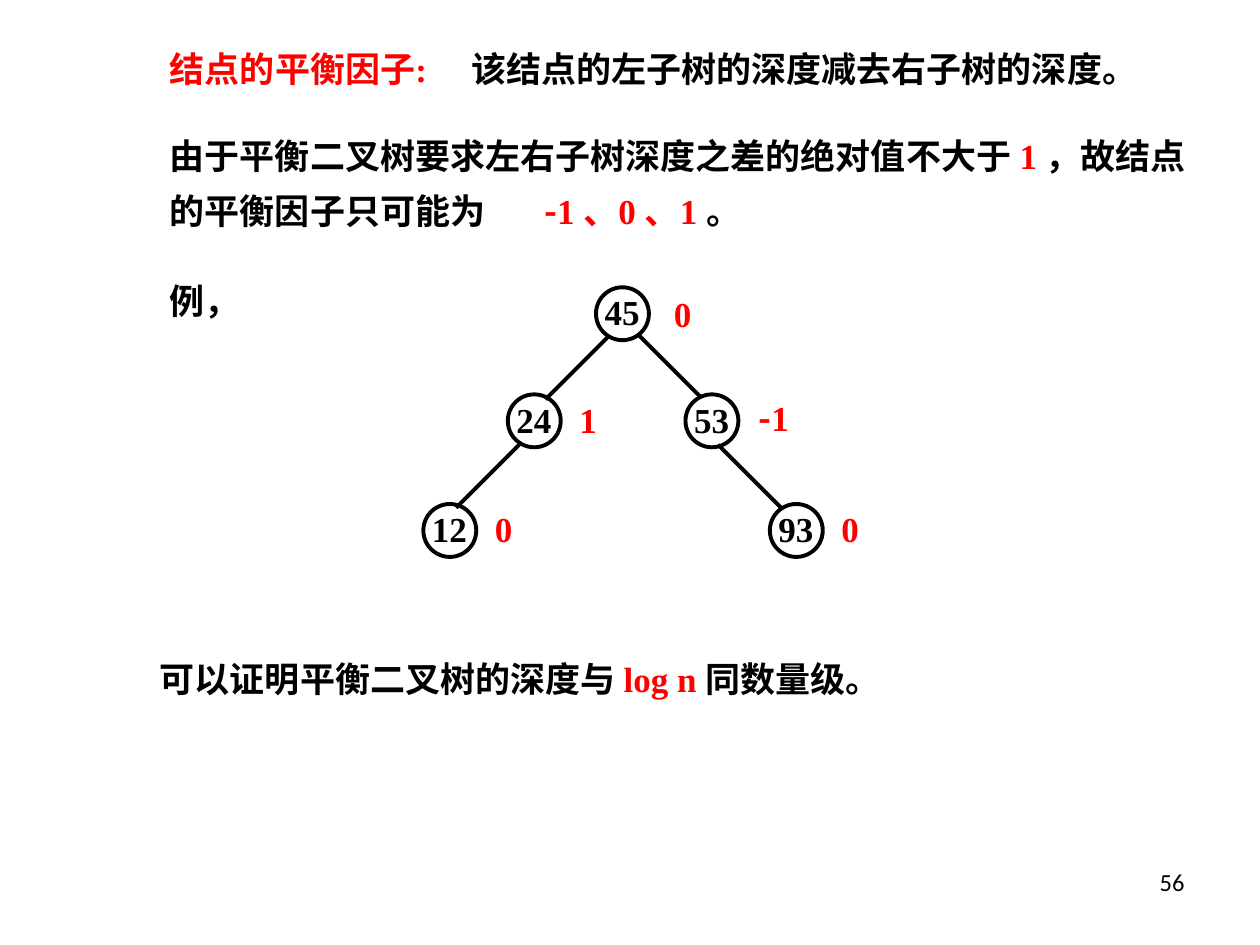
from lxml import etree
from pptx import Presentation
from pptx.dml.color import RGBColor
from pptx.enum import shapes, text
from pptx.oxml.ns import qn
from pptx.util import Inches, Pt

BLACK = RGBColor(0x00, 0x00, 0x00)
RED = RGBColor(0xFF, 0x00, 0x00)
SERIF = "Times New Roman"
SANS = "Noto Sans CJK SC"
D = 0.42

prs = Presentation()
prs.slide_width = Inches(10)
prs.slide_height = Inches(7.5)
s = prs.slides.add_slide(prs.slide_layouts[6])


def add_text(x, y, w, h, runs, tab=None, size=20, name=SERIF, bold=True):
    tf = s.shapes.add_textbox(Inches(x), Inches(y), Inches(w), Inches(h)).text_frame
    tf.word_wrap = True
    p = tf.paragraphs[0]
    if tab:
        tabs = etree.SubElement(p._p.get_or_add_pPr(), qn("a:tabLst"))
        etree.SubElement(tabs, qn("a:tab"), pos=str(Inches(tab)), algn="l")
    p.font.size = Pt(size)
    p.font.bold = bold
    p.font.name = name
    for words, color in runs:
        r = p.add_run()
        r.text = words
        r.font.color.rgb = color
        if words == "-":
            r.font.name = SANS
    return p


p = add_text(7.17, 6.83, 2.33, 0.52, [("56", BLACK)], size=14, name="Calibri", bold=False)
p.alignment = text.PP_ALIGN.RIGHT

add_text(1.25, 0.33, 7.92, 0.44, [
    ("结点的平衡因子:\t", RED),
    ("该结点的左子树的深度减去右子树的深度。", BLACK),
], tab=2.39)

p = add_text(1.25, 0.92, 8.33, 0.97, [
    ("由于平衡二叉树要求左右子树深度之差的绝对值不大于 ", BLACK),
    ("1 ", RED),
    ("，故结点的平衡因子只可能为\t", BLACK),
    ("-", RED),
    ("1 、0 、1 ", RED),
    ("。", BLACK),
], tab=2.97)
p.line_spacing = 1.3

add_text(1.25, 2.17, 1.33, 0.44, [("例，", BLACK)])

nodes = [
    ("45", 4.73, 2.28, ["0"], 5.25, 2.27),
    ("24", 4.03, 3.13, ["1"], 4.5, 3.11),
    ("53", 5.44, 3.13, ["-", "1"], 5.92, 3.1),
    ("12", 3.36, 4, ["0"], 3.83, 3.98),
    ("93", 6.11, 4, ["0"], 6.58, 3.98),
]
for key, x, y, factor, fx, fy in nodes:
    sp = s.shapes.add_shape(shapes.MSO_SHAPE.OVAL, Inches(x), Inches(y), Inches(D), Inches(D))
    sp.shadow.inherit = False
    sp.fill.background()
    sp.line.color.rgb = BLACK
    sp.line.width = Pt(2.25)
    add_text(x - 0.03, y - 0.02, 0.75, 0.44, [(key, BLACK)])
    add_text(fx, fy, 0.67, 0.44, [(part, RED) for part in factor])

for x, y, dx in [(4.83, 2.67, -0.5), (5.06, 2.65, 0.5), (4.12, 3.53, -0.5), (5.7, 3.53, 0.5)]:
    c = s.shapes.add_connector(shapes.MSO_CONNECTOR.STRAIGHT,
                               Inches(x), Inches(y), Inches(x + dx), Inches(y + 0.5))
    c.line.color.rgb = BLACK
    c.line.width = Pt(2.25)
    etree.SubElement(c._element.spPr, qn("a:effectLst"))

add_text(1.17, 5.17, 7.75, 0.44, [
    ("可以证明平衡二叉树的深度与 ", BLACK),
    ("log n ", RED),
    ("同数量级。", BLACK),
])

prs.save("out.pptx")
